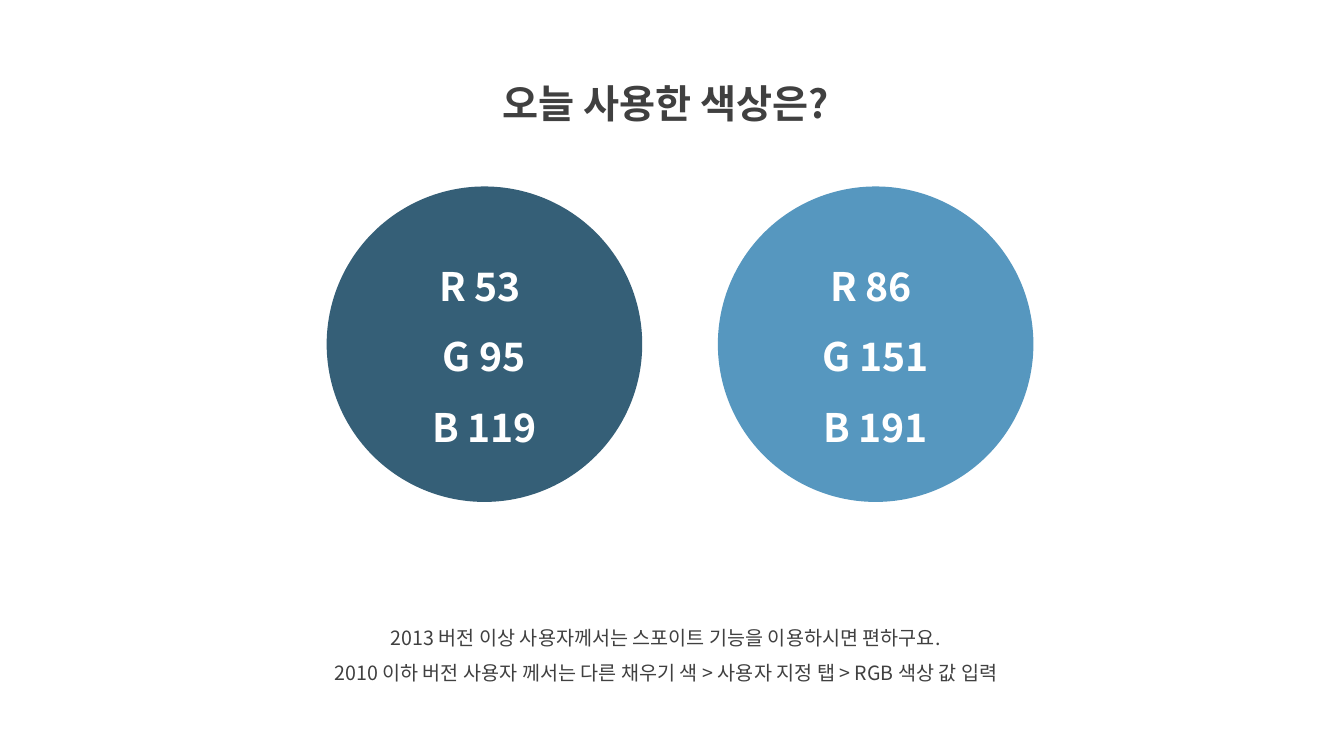
from lxml.etree import SubElement
from pptx import Presentation
from pptx.dml.color import RGBColor
from pptx.enum.shapes import MSO_SHAPE
from pptx.enum.text import MSO_ANCHOR, PP_ALIGN
from pptx.oxml.ns import qn
from pptx.util import Inches, Pt

COLORS = {"ink": "404040", "white": "FFFFFF", "navy": "355F77", "sky": "5697BF"}
FONT = "Noto Sans CJK KR"
FORMATS = {
    "title": {"size": Pt(28), "bold": True, "name": FONT},
    "value": {"size": Pt(28), "bold": True, "name": FONT},
    "note": {"size": Pt(14), "bold": False, "name": FONT},
}
PARAGRAPH = {"alignment": PP_ALIGN.CENTER, "line_spacing": 1.5}


class PaletteSlide:
    def __init__(self, deck):
        self.width, self.height = deck.slide_width, deck.slide_height
        self.slide = deck.slides.add_slide(deck.slide_layouts[6])

    def place(self, left, top, width, height):
        return (round(left * self.width), round(top * self.height),
                round(width * self.width), round(height * self.height))

    def fill_lines(self, frame, lines, style, color):
        frame.word_wrap = True
        for index, line in enumerate(lines):
            paragraph = frame.add_paragraph() if index else frame.paragraphs[0]
            for key, value in PARAGRAPH.items():
                setattr(paragraph, key, value)
            run = paragraph.add_run()
            run.text = line
            for key, value in FORMATS[style].items():
                setattr(run.font, key, value)
            run.font.color.rgb = RGBColor.from_string(COLORS[color])
            SubElement(run._r.get_or_add_rPr(), qn("a:ea"), typeface=FONT)

    def text(self, area, lines, style):
        box = self.slide.shapes.add_textbox(*self.place(*area))
        self.fill_lines(box.text_frame, lines, style, "ink")

    def circle(self, left, top, diameter, color, values):
        area = self.place(left, top, diameter, diameter * self.width / self.height)
        swatch = self.slide.shapes.add_shape(MSO_SHAPE.OVAL, *area)
        swatch.shadow.inherit = False
        swatch.fill.solid()
        swatch.fill.fore_color.rgb = RGBColor.from_string(COLORS[color])
        swatch.line.fill.background()
        swatch.text_frame.vertical_anchor = MSO_ANCHOR.MIDDLE
        self.fill_lines(swatch.text_frame, values, "value", "white")


def main():
    deck = Presentation()
    deck.slide_width, deck.slide_height = Inches(13.33), Inches(7.5)
    page = PaletteSlide(deck)

    page.text((4.29 / 13.33, 0.5 / 7.5, 4.63 / 13.33, 0.72 / 7.5),
              ["오늘 사용한 색상은?"], "title")
    page.text((2.61 / 13.33, 6.04 / 7.5, 7.99 / 13.33, 0.81 / 7.5),
              ["2013 버전 이상 사용자께서는 스포이트 기능을 이용하시면 편하구요.",
               "2010 이하 버전 사용자 께서는 다른 채우기 색 > 사용자 지정 탭 > RGB 색상 값 입력"],
              "note")

    swatches = [("navy", ["R 53 ", "G 95", "B 119"]),
                ("sky", ["R 86 ", "G 151", "B 191"])]
    for column, (color, values) in enumerate(swatches):
        left = (3.24 + column * 3.88) / 13.33
        page.circle(left, 1.85 / 7.5, 3.13 / 13.33, color, values)

    deck.save("out.pptx")


if __name__ == "__main__":
    main()
